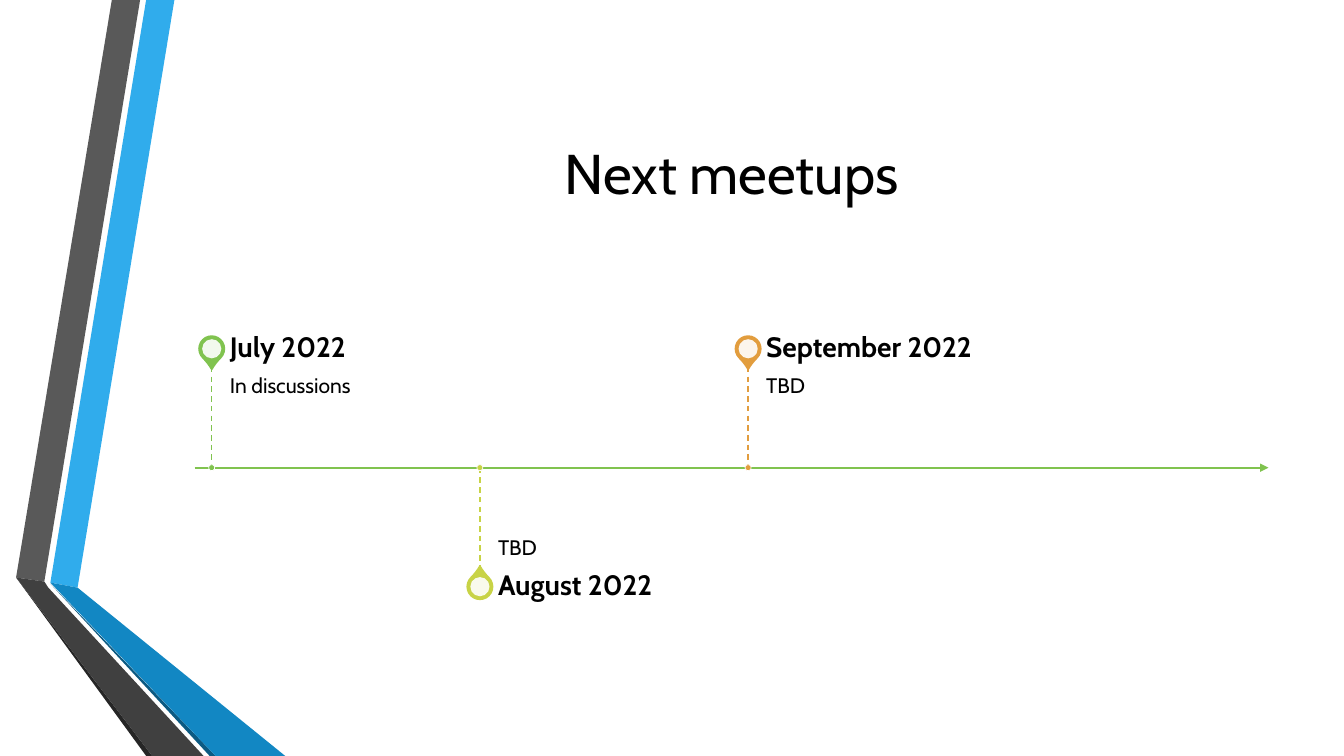
from lxml import etree
from pptx import Presentation
from pptx.dml.color import RGBColor
from pptx.enum.dml import MSO_LINE
from pptx.enum.shapes import MSO_CONNECTOR, MSO_SHAPE
from pptx.enum.text import MSO_ANCHOR, PP_ALIGN
from pptx.oxml.ns import qn
from pptx.util import Inches, Pt

FONT = "Cabin"
GREEN, LIME, ORANGE = "80C34F", "C8D346", "E29D3E"
AXIS_LEFT, AXIS_RIGHT, AXIS_Y = 1.93, 12.58, 4.64
FIRST_X, STEP_X = 2.1, 2.66
STEM, PIN_OFFSET = 1, 1.18
LABEL_GAP, LABEL_WIDTH, DATE_HEIGHT = 0.18, 4.43, 0.35

RIBBONS = [
    ("30ACEC", [(0.5, 5.78), (0.77, 5.83), (1.73, 0), (1.45, 0)]),
    ("595959", [(1.39, 0), (1.11, 0), (0.16, 5.73), (0.44, 5.77)]),
    ("262626", [(0.16, 5.73), (1.45, 7.5), (1.51, 7.5)]),
    ("0C5A82", [(0.5, 5.79), (2.08, 7.5), (2.14, 7.5)]),
    ("1287C3", [(0.5, 5.78), (2.14, 7.5), (2.83, 7.5), (0.77, 5.83)]),
    ("404040", [(2.02, 7.5), (0.48, 5.83), (0.44, 5.77), (0.16, 5.73), (1.51, 7.5)]),
]

MEETUPS = [
    ("July 2022", "In discussions", GREEN, True),
    ("August 2022", "TBD", LIME, False),
    ("September 2022", "TBD", ORANGE, True),
]


def color(hex_value):
    return RGBColor.from_string(hex_value)


def set_values(target, values):
    for name, value in values.items():
        setattr(target, name, value)


def paint(shape, fill, line=None, width=0):
    shape.shadow.inherit = False
    shape.fill.solid()
    shape.fill.fore_color.rgb = color(fill)
    if line:
        shape.line.color.rgb = color(line)
        shape.line.width = Pt(width)
    else:
        shape.line.fill.background()


def add_ribbon(slide, fill, points):
    start, *rest = [(Inches(x), Inches(y)) for x, y in points]
    builder = slide.shapes.build_freeform(*start)
    builder.add_line_segments(rest, close=True)
    paint(builder.convert_to_shape(), fill)


def add_centered(slide, kind, x, y, size):
    return slide.shapes.add_shape(
        kind, Inches(x - size / 2), Inches(y - size / 2), Inches(size), Inches(size))


def add_line(slide, start, end, line_color, width):
    connector = slide.shapes.add_connector(
        MSO_CONNECTOR.STRAIGHT, *[Inches(value) for value in start + end])
    connector.line.color.rgb = color(line_color)
    connector.line.width = Pt(width)
    etree.SubElement(connector._element.spPr, qn("a:effectLst"))
    return connector


def format_text(frame, text, size, bold=False):
    paragraph = frame.paragraphs[0]
    paragraph.text = text
    set_values(paragraph.font, {"name": FONT, "size": Pt(size), "bold": bold})
    paragraph.font.color.rgb = color("000000")
    return paragraph


def add_label(slide, text, box, insets, anchor, size, bold=False):
    shape = slide.shapes.add_textbox(*[Inches(value) for value in box])
    frame = shape.text_frame
    sides = ("margin_left", "margin_top", "margin_right", "margin_bottom")
    values = dict(zip(sides, [Inches(inset) for inset in insets]))
    set_values(frame, {"word_wrap": True, "vertical_anchor": anchor, **values})
    format_text(frame, text, size, bold).line_spacing = 0.9


def add_axis(slide):
    axis = add_line(slide, (AXIS_LEFT, AXIS_Y), (AXIS_RIGHT, AXIS_Y), GREEN, 1.5)
    etree.SubElement(axis.line._get_or_add_ln(), qn("a:tailEnd"), type="triangle")


def add_pin(slide, x, y, pin_color, rotation):
    pin = add_centered(slide, MSO_SHAPE.TEAR, x, y, 0.25)
    pin.adjustments[0] = 1.15
    pin.rotation = rotation
    paint(pin, pin_color, pin_color, 1.25)
    center = add_centered(slide, MSO_SHAPE.OVAL, x, y, 0.19)
    paint(center, "FFFFFF")
    fill = center._element.spPr.find(qn("a:solidFill"))
    etree.SubElement(fill[0], qn("a:alpha"), val="90000")


def add_meetup(slide, x, date, status, meetup_color, above):
    direction = -1 if above else 1
    pin_y = AXIS_Y + direction * PIN_OFFSET
    stem_end = AXIS_Y + direction * STEM
    label_x = x + LABEL_GAP
    add_pin(slide, x, pin_y, meetup_color, 135 if above else 315)

    status_box = (label_x, min(AXIS_Y, stem_end), LABEL_WIDTH, STEM)
    if above:
        add_label(slide, status, status_box, (0, 0.1, 0.1, 0.16), MSO_ANCHOR.TOP, 15)
    else:
        add_label(slide, status, status_box, (0, 0.16, 0, 0.1), MSO_ANCHOR.BOTTOM, 15)
    date_box = (label_x, pin_y - DATE_HEIGHT / 2, LABEL_WIDTH, DATE_HEIGHT)
    add_label(slide, date, date_box, (0, 0, 0.14, 0), MSO_ANCHOR.MIDDLE, 20, True)

    top, bottom = sorted((AXIS_Y, stem_end))
    stem = add_line(slide, (x, top), (x, bottom), meetup_color, 1)
    stem.line.dash_style = MSO_LINE.DASH
    dot = add_centered(slide, MSO_SHAPE.OVAL, x, AXIS_Y, 0.06)
    paint(dot, meetup_color, "FFFFFF", 0.5)


def add_title(slide, text):
    title = slide.shapes.title
    set_values(title, {"left": Inches(1.93), "top": Inches(0.75),
                       "width": Inches(10.65), "height": Inches(1.92)})
    title.text_frame.vertical_anchor = MSO_ANCHOR.MIDDLE
    format_text(title.text_frame, text, 40).alignment = PP_ALIGN.CENTER


def main():
    presentation = Presentation()
    presentation.slide_width = Inches(13.33)
    presentation.slide_height = Inches(7.5)
    slide = presentation.slides.add_slide(presentation.slide_layouts[5])
    for fill, points in RIBBONS:
        add_ribbon(slide, fill, points)
    add_title(slide, "Next meetups")
    add_axis(slide)
    for index, meetup in enumerate(MEETUPS):
        add_meetup(slide, FIRST_X + index * STEP_X, *meetup)
    presentation.save("out.pptx")


if __name__ == "__main__":
    main()
